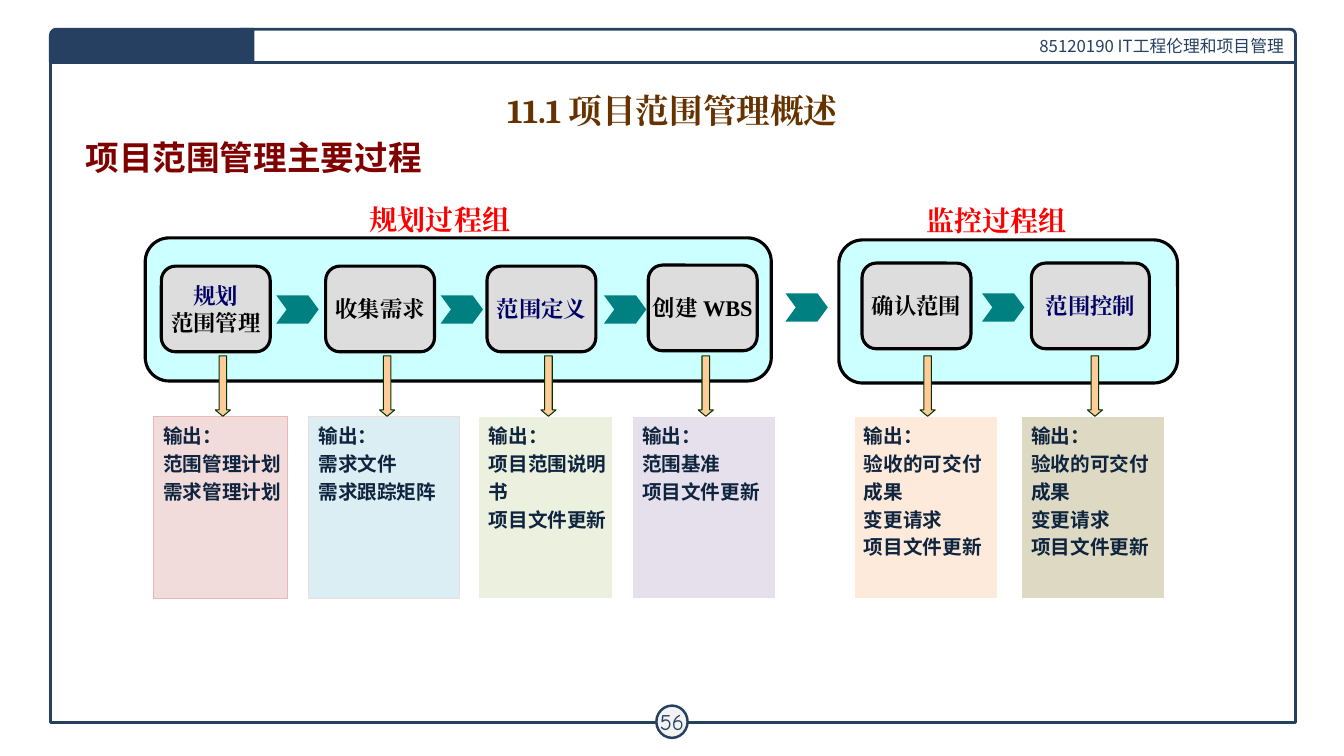
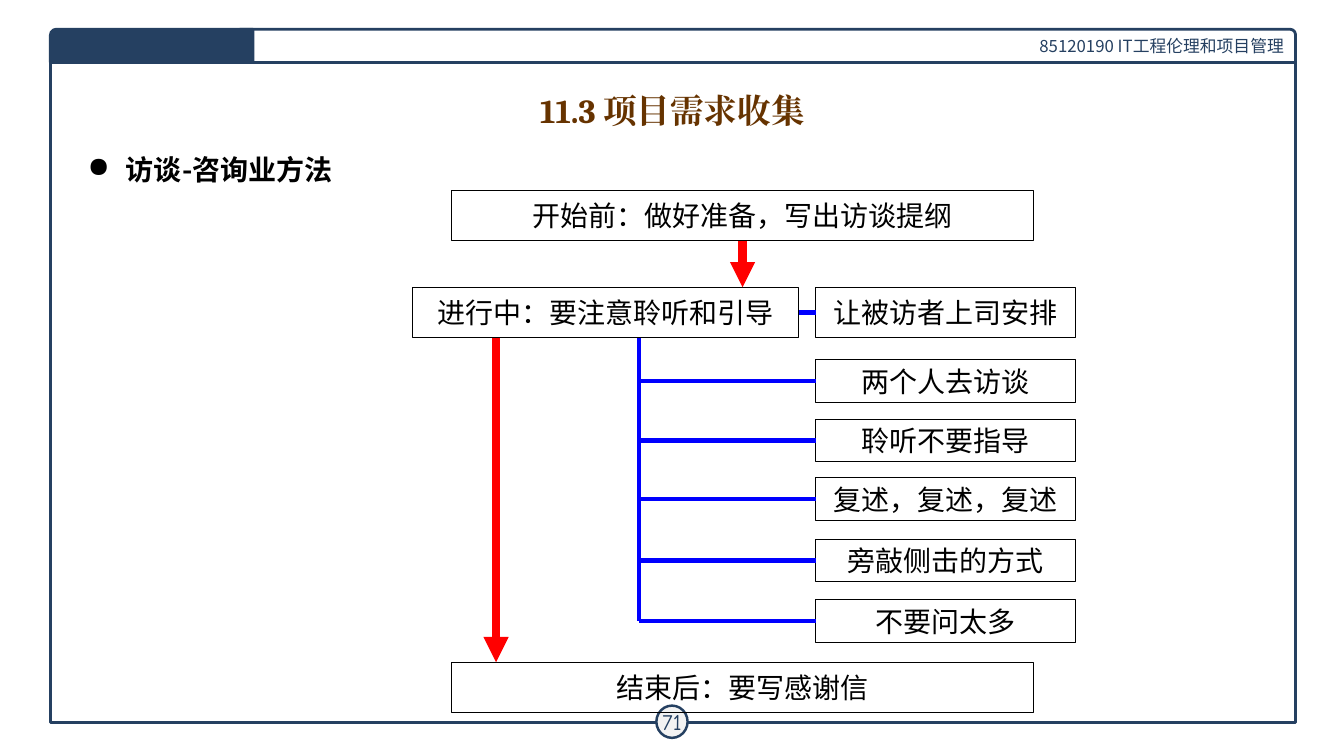
import pptx
import pptx.dml.color
import pptx.enum.shapes
import pptx.enum.text
import pptx.oxml
import pptx.oxml.ns
import pptx.util
import lxml.etree

Inches = pptx.util.Inches
Pt = pptx.util.Pt
RGBColor = pptx.dml.color.RGBColor
SHAPE = pptx.enum.shapes.MSO_SHAPE
ALIGN = pptx.enum.text.PP_ALIGN
ANCHOR = pptx.enum.text.MSO_ANCHOR
qn = pptx.oxml.ns.qn

FRAME_BLUE = RGBColor(0x25, 0x40, 0x61)
WHITE = RGBColor(0xFF, 0xFF, 0xFF)
BLACK = RGBColor(0, 0, 0)
PAGE_GREY = RGBColor(0xF3, 0xF3, 0xF3)
TITLE_BROWN = RGBColor(0x66, 0x33, 0)
MAROON = RGBColor(0x80, 0, 0)
RED = RGBColor(0xFF, 0, 0)
BLUE = RGBColor(0, 0, 0xFF)
NAVY = RGBColor(0, 0, 0x66)
TEAL = RGBColor(0, 0x80, 0x80)
GROUP_CYAN = RGBColor(0xCC, 0xFF, 0xFF)
STEP_GREY = RGBColor(0xDD, 0xDD, 0xDD)
ARROW_PEACH = RGBColor(0xFF, 0xCC, 0x99)
ARROW_EDGE = RGBColor(0, 0x33, 0)
OUTPUT_INK = RGBColor(0x0F, 0x24, 0x3E)
PINK = RGBColor(0xF2, 0xDC, 0xDB)
PINK_EDGE = RGBColor(0xE6, 0xB9, 0xB8)
PALE_BLUE = RGBColor(0xDB, 0xEE, 0xF4)
PALE_GREEN = RGBColor(0xEB, 0xF1, 0xDE)
LILAC = RGBColor(0xE6, 0xE0, 0xEC)
PALE_ORANGE = RGBColor(0xFD, 0xEA, 0xDA)
TAN = RGBColor(0xDD, 0xD9, 0xC3)

SANS = "Noto Sans CJK SC"
SERIF = "Times New Roman"


def add_part(slide, kind, at, fill=None, line=None, weight=0.75, adjust=()):
    """Add a preset shape, or a text box when kind is None; at is in inches."""
    place = [Inches(value) for value in at]
    if kind is None:
        return slide.shapes.add_textbox(*place)
    part = slide.shapes.add_shape(kind, *place)
    part.shadow.inherit = False
    if fill is None:
        part.fill.background()
    else:
        part.fill.solid()
        part.fill.fore_color.rgb = fill
    if line is None:
        part.line.fill.background()
    else:
        part.line.color.rgb = line
        part.line.width = Pt(weight)
    for index, value in enumerate(adjust):
        part.adjustments[index] = value
    return part


def write(part, text, size=20, font=SANS, color=BLACK, bold=False, align=ALIGN.CENTER,
          anchor=ANCHOR.MIDDLE, wrap=False, space=0, insets=(0.1, 0.05, 0.1, 0.05), bullet=None):
    """Fill a part with one paragraph for each line of the text."""
    frame = part.text_frame
    frame.word_wrap = wrap
    frame.vertical_anchor = anchor
    (frame.margin_left, frame.margin_top,
     frame.margin_right, frame.margin_bottom) = [Inches(value) for value in insets]
    for index, words in enumerate(text.split("\n")):
        paragraph = frame.add_paragraph() if index else frame.paragraphs[0]
        paragraph.alignment = align
        if index and space:
            paragraph.space_before = Pt(space)
        if bullet:
            properties = paragraph._p.get_or_add_pPr()
            properties.set("marL", str(Inches(0.38)))
            properties.set("indent", str(-Inches(0.38)))
            lxml.etree.SubElement(properties, qn("a:buChar")).set("char", bullet)
        run = paragraph.add_run()
        run.text = words
        run.font.name = font
        run.font.size = Pt(size)
        run.font.bold = bold
        run.font.color.rgb = color
        run_properties = run._r.get_or_add_rPr()
        run_properties.set("lang", "zh-CN")
        lxml.etree.SubElement(run_properties, qn("a:ea")).set("typeface", font)


deck = pptx.Presentation()
deck.slide_width = Inches(13.33)
deck.slide_height = Inches(7.5)

# Frame, header band, page number and title of every slide
slides = []
for title, page in (("11.1 项目范围管理概述", "56"), ("11.3 项目需求收集", "71")):
    slide = deck.slides.add_slide(deck.slide_layouts[6])
    add_part(slide, SHAPE.RECTANGLE, (0.5, 0.5, 12.35, 6.67), line=FRAME_BLUE, weight=2)
    header = add_part(slide, SHAPE.ROUND_1_RECTANGLE, (2.38, 0.29, 10.47, 0.33),
                      WHITE, FRAME_BLUE, 2)
    write(header, "85120190 IT工程伦理和项目管理", size=12, color=FRAME_BLUE,
          align=ALIGN.RIGHT, wrap=True)
    page_badge = add_part(slide, SHAPE.OVAL, (6.51, 7, 0.31, 0.32), PAGE_GREY, FRAME_BLUE, 1.75)
    write(page_badge, page, size=16, font="Comic Neue", color=FRAME_BLUE, insets=[0.04] * 4)
    corner = add_part(slide, SHAPE.ROUND_1_RECTANGLE, (0.5, 0.29, 2.01, 0.33),
                      FRAME_BLUE, FRAME_BLUE, 2, [0.175])
    corner._element.spPr.find(qn("a:xfrm")).set("flipH", "1")
    write(add_part(slide, None, (0.67, 0.84, 12, 0.48)), title, size=24, font="Cambria",
          color=TITLE_BROWN, bold=True, anchor=ANCHOR.TOP, wrap=True)
    slides.append(slide)
processes, interview = slides

# Slide 1: process groups
write(add_part(processes, None, (0.75, 1.31, 3.59, 0.5)), "项目范围管理主要过程", size=24,
      color=MAROON, bold=True, align=ALIGN.LEFT, anchor=ANCHOR.TOP)
for group, label_left, label_top, at in (
        ("规划过程组", 3.57, 1.96, (1.44, 2.36, 6.21, 1.42)),
        ("监控过程组", 9.09, 1.97, (8.32, 2.38, 3.36, 1.42))):
    add_part(processes, SHAPE.FLOWCHART_ALTERNATE_PROCESS, at, GROUP_CYAN, BLACK, 2.25)
    write(add_part(processes, None, (label_left, label_top, 1.61, 0.44)), group, font=SERIF,
          color=RED, bold=True, align=ALIGN.LEFT, anchor=ANCHOR.TOP)

# step, colour, left, top, width; arrow centre; output left, width, fill, edge; outputs
steps = (
    ("规划\n范围管理", BLACK, 1.6, 2.64, 1.08, 2.21, 1.52, 1.33, PINK, PINK_EDGE,
     "范围管理计划\n需求管理计划"),
    ("收集需求", BLACK, 3.23, 2.64, 1.08, 3.84, 3.06, 1.5, PALE_BLUE, PINK,
     "需求文件\n需求跟踪矩阵"),
    ("范围定义", NAVY, 4.83, 2.64, 1.08, 5.44, 4.75, 1.33, PALE_GREEN, WHITE,
     "项目范围说明\n书\n项目文件更新"),
    ("创建 WBS", BLACK, 6.43, 2.63, 1.08, 7, 6.27, 1.42, LILAC, WHITE,
     "范围基准\n项目文件更新"),
    ("确认范围", BLACK, 8.55, 2.61, 1.08, 9.2, 8.47, 1.42, PALE_ORANGE, WHITE,
     "验收的可交付\n成果\n变更请求\n项目文件更新"),
    ("范围控制", NAVY, 10.23, 2.61, 1.17, 10.86, 10.13, 1.42, TAN, WHITE,
     "验收的可交付\n成果\n变更请求\n项目文件更新"),
)
for (step, color, left, top, width, arrow_center,
     output_left, output_width, fill, edge, outputs) in steps:
    step_box = add_part(processes, SHAPE.FLOWCHART_ALTERNATE_PROCESS, (left, top, width, 0.85),
                        STEP_GREY, BLACK, 2.25)
    write(step_box, step, size=16, font=SERIF, color=color, bold=True)
    if step.startswith("规划"):
        step_box.text_frame.paragraphs[0].runs[0].font.color.rgb = NAVY
    output_box = add_part(processes, SHAPE.RECTANGLE, (output_left, 4.13, output_width, 1.81),
                          fill, edge)
    write(output_box, "输出：\n" + outputs, size=14, font="Arial", color=OUTPUT_INK, bold=True,
          align=ALIGN.LEFT, anchor=ANCHOR.TOP, wrap=True, space=3, insets=(0.1, 0.08, 0, 0.05))
    add_part(processes, SHAPE.DOWN_ARROW, (arrow_center - 0.075, 3.53, 0.15, 0.6),
             ARROW_PEACH, ARROW_EDGE, adjust=(0.5, 0.417))

for left, top in ((2.74, 2.93), (4.37, 2.93), (5.99, 2.93), (7.79, 2.91), (9.74, 2.91)):
    add_part(processes, SHAPE.CHEVRON, (left, top, 0.42, 0.28), TEAL, adjust=[0.366])

# Slide 2: interview stages and advice
write(add_part(interview, None, (0.77, 1.46, 3.71, 0.67)), "访谈-咨询业方法", bold=True,
      align=ALIGN.LEFT, anchor=ANCHOR.TOP, wrap=True, bullet="●")
stages = []
for stage, at in (("开始前：做好准备，写出访谈提纲", (4.48, 1.89, 5.77, 0.5)),
                  ("进行中：要注意聆听和引导", (4.09, 2.85, 3.83, 0.5)),
                  ("结束后：要写感谢信", (4.48, 6.57, 5.77, 0.5))):
    stage_box = add_part(interview, SHAPE.RECTANGLE, at, line=BLACK)
    write(stage_box, stage)
    stages.append(stage_box)
before, during, after = stages

# start, end, colour, weight, joined start (part, side), joined end (part, side)
before_middle = before.left + before.width // 2
spine, ending = Inches(6.34), Inches(4.92)
links = [
    ((before_middle, before.top + before.height), (before_middle, during.top),
     RED, 6, (before, 2), None),
    ((ending, during.top + during.height), (ending, after.top), RED, 6, None, None),
    ((spine, during.top + during.height), (spine, Inches(6.16)), BLUE, 3, None, None),
]
for advice, top, height in (("让被访者上司安排", 2.85, 0.5), ("两个人去访谈", 3.57, 0.42),
                            ("聆听不要指导", 4.16, 0.42), ("复述，复述，复述", 4.74, 0.42),
                            ("旁敲侧击的方式", 5.35, 0.42), ("不要问太多", 5.95, 0.42)):
    advice_box = add_part(interview, SHAPE.RECTANGLE, (8.09, top, 2.58, height), line=BLACK)
    write(advice_box, advice, font="Arial")
    middle = advice_box.top + advice_box.height // 2
    beside = advice_box.top == during.top
    start = during.left + during.width if beside else spine
    links.append(((start, middle), (advice_box.left, middle), BLUE, 3,
                  (during, 3) if beside else None, (advice_box, 1)))

for start, end, color, weight, joined_start, joined_end in links:
    link = interview.shapes.add_connector(pptx.enum.shapes.MSO_CONNECTOR.STRAIGHT, *start, *end)
    link.line.color.rgb = color
    link.line.width = Pt(weight)
    if joined_start:
        link.begin_connect(*joined_start)
    if joined_end:
        link.end_connect(*joined_end)
    if color == RED:
        lxml.etree.SubElement(link.line._get_or_add_ln(), qn("a:tailEnd")).set("type", "triangle")
    lxml.etree.SubElement(link._element.spPr, qn("a:effectLst"))

deck.save("out.pptx")
